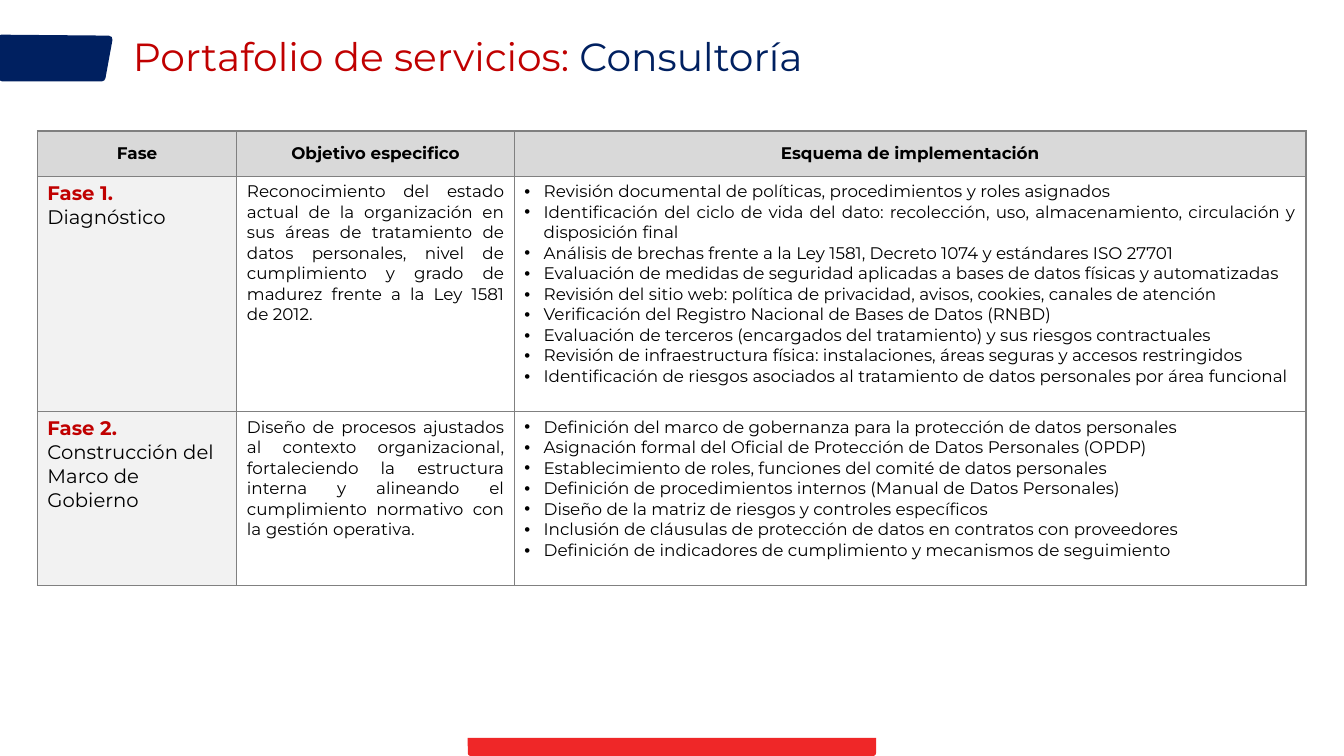
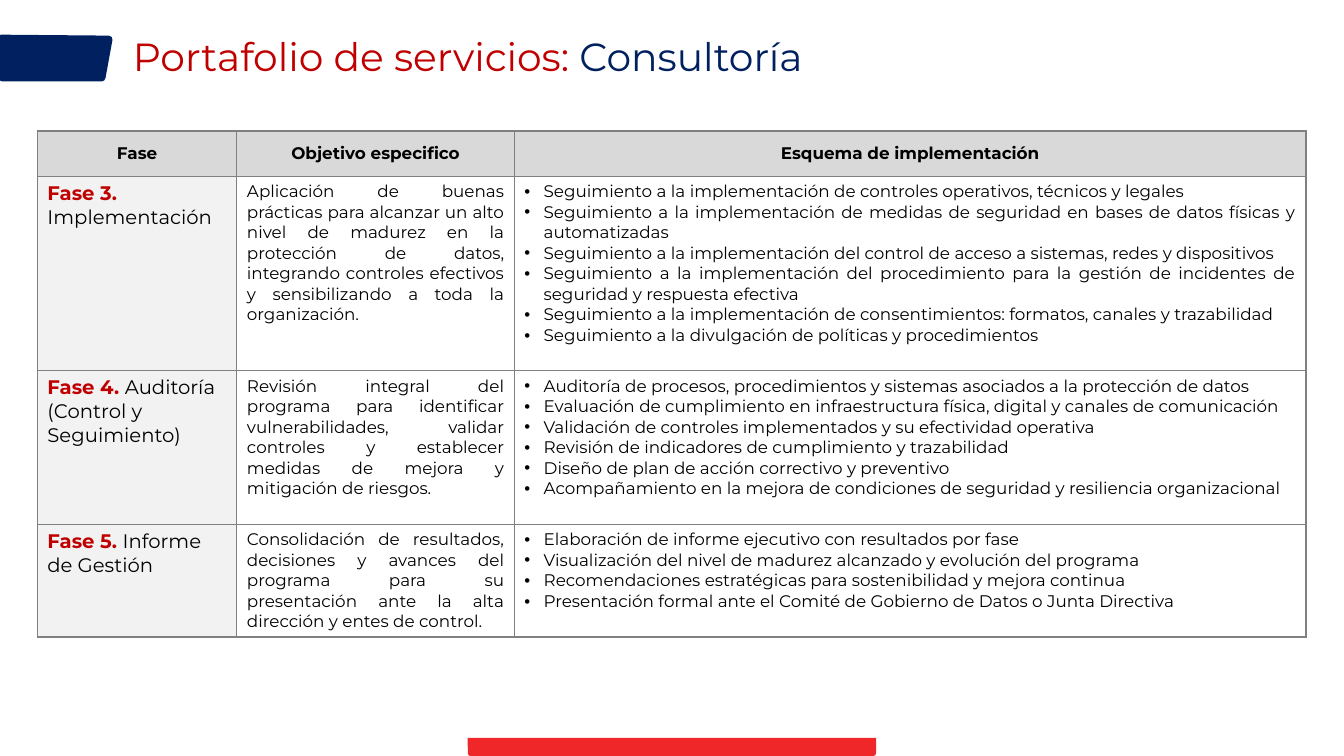
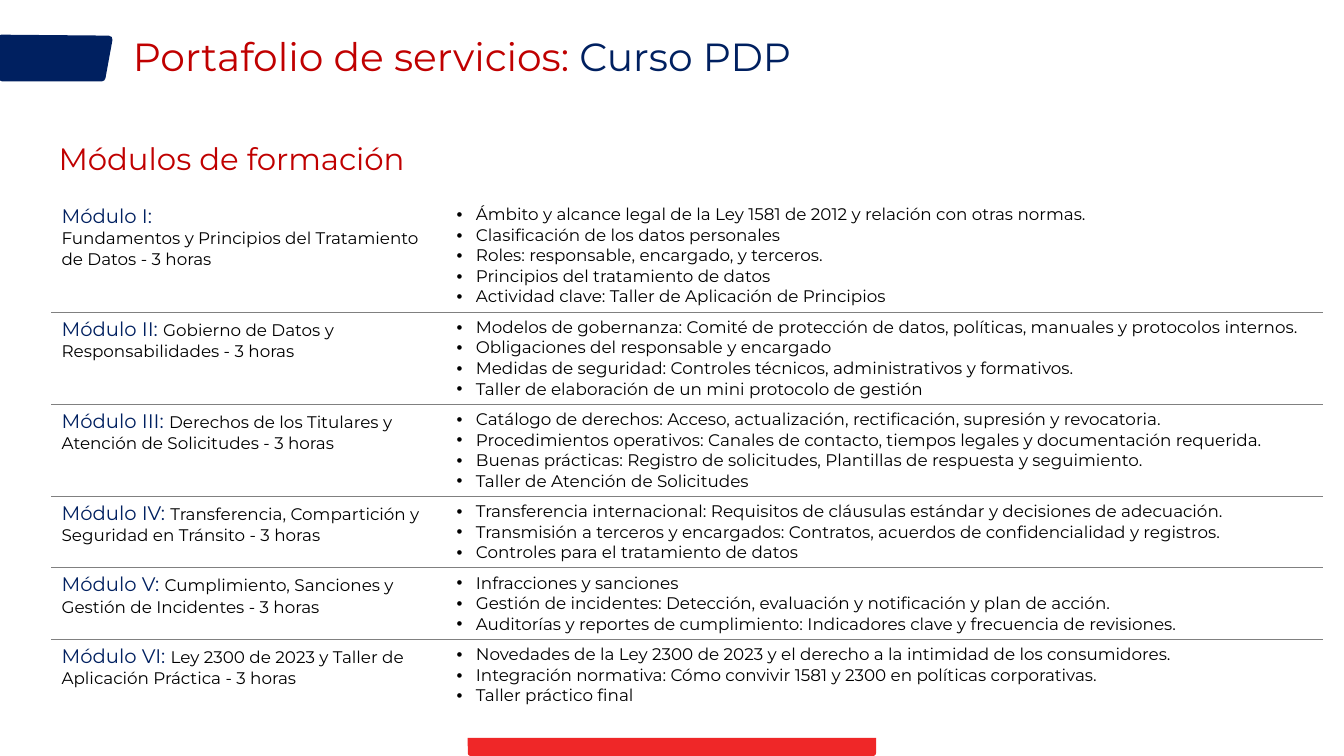
from dataclasses import dataclass
from typing import NamedTuple

from lxml import etree
from pptx import Presentation
from pptx.dml.color import RGBColor
from pptx.enum.shapes import MSO_SHAPE
from pptx.enum.text import MSO_ANCHOR, PP_ALIGN
from pptx.oxml.ns import qn
from pptx.util import Inches, Pt

LEFT, CENTER, JUSTIFY = PP_ALIGN.LEFT, PP_ALIGN.CENTER, PP_ALIGN.JUSTIFY
TOP, MIDDLE = MSO_ANCHOR.TOP, MSO_ANCHOR.MIDDLE
ROUNDED_BAR = MSO_SHAPE.ROUND_2_SAME_RECTANGLE

SLIDE_WIDTH, SLIDE_HEIGHT = Inches(13.33), Inches(7.5)
FONT = "Montserrat"
COLORS = {
    "navy": "002060",
    "red": "C00000",
    "bar": "EF2728",
    "black": "000000",
    "border": "808080",
    "header": "D9D9D9",
    "phase": "F2F2F2",
}
PLAIN_STYLE = "{2D5ABB26-0587-4C30-8999-92F81FD0307C}"
ALL_SIDES = ("L", "R", "T", "B")
BULLET_INDENT = Inches(0.19)

# Horizontal lengths are percentages of the slide width, vertical ones of its height.
BADGE = [(8.1, 5.2), (7.58, 10.27), (0.15, 10.27), (0.08, 5.07)]
PHASE_COLUMNS = (14.85, 20.65, 58.9)
MODULE_COLUMNS = (29.4, 65.18)
HEADER_ROW = 6
TEXT_LINE = 2.71
CELL_PADDING = 1.34


class Area(NamedTuple):
    left: float
    top: float
    width: float
    height: float

    def lengths(self) -> tuple[int, int, int, int]:
        return (across(self.left), down(self.top),
                across(self.width), down(self.height))


TITLE_AREA = Area(9.15, 3.33, 76, 8.8)
SUBTITLE_AREA = Area(3.83, 17.6, 43, 6.27)
BAR_AREA = Area(34.8, 97.6, 30.38, 2.4)


class Span(NamedTuple):
    text: str
    color: str = "black"
    size: float = 12
    bold: bool = False


@dataclass
class Para:
    spans: list[Span]
    align: PP_ALIGN = LEFT
    bullet: bool = False
    spacing: float = 1.0


@dataclass
class Cell:
    paras: list[Para]
    fill: str | None = None
    anchor: MSO_ANCHOR = TOP
    borders: tuple[str, ...] = ALL_SIDES


@dataclass
class Phase:
    label: str
    name: str
    goal: str
    lines: int
    steps: list[str]


@dataclass
class Module:
    label: str
    name: str
    topics: list[str]
    label_alone: bool = False


def across(share: float) -> int:
    return round(SLIDE_WIDTH * share / 100)


def down(share: float) -> int:
    return round(SLIDE_HEIGHT * share / 100)


def row_height(lines: int) -> float:
    return lines * TEXT_LINE + CELL_PADDING


def rgb(name: str) -> RGBColor:
    return RGBColor.from_string(COLORS[name])


def add_bullet(para) -> None:
    properties = para._p.get_or_add_pPr()
    properties.set("marL", str(BULLET_INDENT))
    properties.set("indent", str(-BULLET_INDENT))
    etree.SubElement(properties, qn("a:buFont"), typeface="Arial")
    etree.SubElement(properties, qn("a:buChar"), char="•")


def write(frame, paras: list[Para]) -> None:
    for index, content in enumerate(paras):
        para = frame.add_paragraph() if index else frame.paragraphs[0]
        para.alignment = content.align
        para.line_spacing = content.spacing
        if content.bullet:
            add_bullet(para)
        for span in content.spans:
            run = para.add_run()
            run.text = span.text
            formats = {"name": FONT, "size": Pt(span.size), "bold": span.bold}
            for attribute, value in formats.items():
                setattr(run.font, attribute, value)
            run.font.color.rgb = rgb(span.color)


def add_text(page, area: Area, para: Para, anchor: MSO_ANCHOR = TOP,
             margin: float | None = None) -> None:
    frame = page.shapes.add_textbox(*area.lengths()).text_frame
    frame.word_wrap = True
    frame.vertical_anchor = anchor
    if margin is not None:
        for side in ("left", "right", "top", "bottom"):
            setattr(frame, f"margin_{side}", Inches(margin))
    write(frame, [para])


def add_badge(page) -> None:
    points = [(across(x), down(y)) for x, y in BADGE]
    builder = page.shapes.build_freeform(*points[0])
    builder.add_line_segments(points[1:])
    badge = builder.convert_to_shape()
    badge.shadow.inherit = False
    badge.fill.solid()
    badge.fill.fore_color.rgb = rgb("navy")
    badge.line.color.rgb = rgb("navy")
    badge.line.width = Pt(5.25)
    etree.SubElement(badge.line._get_or_add_ln(), qn("a:round"))


def add_page(deck, subject: str):
    """Add a slide with the shared badge, bottom bar and two-colour title."""
    page = deck.slides.add_slide(deck.slide_layouts[6])
    add_badge(page)
    bar = page.shapes.add_shape(ROUNDED_BAR, *BAR_AREA.lengths())
    bar.rotation = 180
    bar.shadow.inherit = False
    bar.fill.solid()
    bar.fill.fore_color.rgb = rgb("bar")
    bar.line.fill.background()
    title = [Span("Portafolio de servicios: ", "red", 28), Span(subject, "navy", 28)]
    add_text(page, TITLE_AREA, Para(title, spacing=0.9), MIDDLE)
    return page


def draw_borders(cell, sides: tuple[str, ...]) -> None:
    properties = cell._tc.get_or_add_tcPr()
    for side in sides:
        line = etree.SubElement(properties, qn(f"a:ln{side}"), w=str(Pt(1)))
        fill = etree.SubElement(line, qn("a:solidFill"))
        etree.SubElement(fill, qn("a:srgbClr"), val=COLORS["border"])


def add_grid(page, left: float, top: float, columns: tuple[float, ...],
             heights: list[float], rows: list[list[Cell]]) -> None:
    area = Area(left, top, sum(columns), sum(heights))
    table = page.shapes.add_table(len(rows), len(columns), *area.lengths()).table
    table.first_row = table.horz_banding = False
    table._tbl.tblPr.find(qn("a:tableStyleId")).text = PLAIN_STYLE
    for column, width in zip(table.columns, columns):
        column.width = across(width)
    for row, height, contents in zip(table.rows, heights, rows):
        row.height = down(height)
        for cell, content in zip(row.cells, contents):
            draw_borders(cell, content.borders)
            cell.vertical_anchor = content.anchor
            if content.fill:
                cell.fill.solid()
                cell.fill.fore_color.rgb = rgb(content.fill)
            else:
                cell.fill.background()
            write(cell.text_frame, content.paras)


def bullets(texts: list[str], align: PP_ALIGN = LEFT) -> list[Para]:
    return [Para([Span(text)], align, bullet=True) for text in texts]


def phase_cells(phase: Phase) -> list[Cell]:
    name = [Span(f"{phase.label} ", "red", 14, True), Span(phase.name, size=14)]
    return [
        Cell([Para(name)], "phase"),
        Cell([Para([Span(phase.goal)], JUSTIFY)]),
        Cell(bullets(phase.steps, JUSTIFY)),
    ]


def add_phase_page(deck, phases: list[Phase]) -> None:
    page = add_page(deck, "Consultoría")
    headings = ("Fase", "Objetivo especifico", "Esquema de implementación")
    header = [Cell([Para([Span(text, bold=True)], CENTER)], "header", MIDDLE)
              for text in headings]
    heights = [HEADER_ROW] + [row_height(phase.lines) for phase in phases]
    rows = [header] + [phase_cells(phase) for phase in phases]
    add_grid(page, 2.78, 17.33, PHASE_COLUMNS, heights, rows)


def module_cells(module: Module, borders: tuple[str, ...]) -> list[Cell]:
    name = Span(module.name)
    if module.label_alone:
        paras = [Para([Span(module.label, "navy", 14)]), Para([name])]
    else:
        paras = [Para([Span(f"{module.label} ", "navy", 14), name])]
    return [Cell(paras, borders=borders), Cell(bullets(module.topics), borders=borders)]


def add_module_page(deck, modules: list[Module]) -> None:
    page = add_page(deck, "Curso PDP")
    add_text(page, SUBTITLE_AREA, Para([Span("Módulos de formación", "red", 22)]),
             margin=0.07)
    heights = [row_height(len(module.topics)) for module in modules]
    last = len(modules) - 1
    rows = []
    for index, module in enumerate(modules):
        borders = ("T",) * (index > 0) + ("B",) * (index < last)
        rows.append(module_cells(module, borders))
    add_grid(page, 3.83, 26.4, MODULE_COLUMNS, heights, rows)


PHASE_PAGES = [
    [
        Phase("Fase 1.", "Diagnóstico",
              "Reconocimiento del estado actual de la organización en sus áreas de "
              "tratamiento de datos personales, nivel de cumplimiento y grado de madurez "
              "frente a la Ley 1581 de 2012.", 11, [
                  "Revisión documental de políticas, procedimientos y roles asignados",
                  "Identificación del ciclo de vida del dato: recolección, uso, "
                  "almacenamiento, circulación y disposición final",
                  "Análisis de brechas frente a la Ley 1581, Decreto 1074 y estándares ISO 27701",
                  "Evaluación de medidas de seguridad aplicadas a bases de datos físicas y "
                  "automatizadas",
                  "Revisión del sitio web: política de privacidad, avisos, cookies, canales "
                  "de atención",
                  "Verificación del Registro Nacional de Bases de Datos (RNBD)",
                  "Evaluación de terceros (encargados del tratamiento) y sus riesgos "
                  "contractuales",
                  "Revisión de infraestructura física: instalaciones, áreas seguras y "
                  "accesos restringidos",
                  "Identificación de riesgos asociados al tratamiento de datos personales "
                  "por área funcional",
              ]),
        Phase("Fase 2.", "Construcción del Marco de Gobierno",
              "Diseño de procesos ajustados al contexto organizacional, fortaleciendo la "
              "estructura interna y alineando el cumplimiento normativo con la gestión "
              "operativa.", 8, [
                  "Definición del marco de gobernanza para la protección de datos personales",
                  "Asignación formal del Oficial de Protección de Datos Personales (OPDP)",
                  "Establecimiento de roles, funciones del comité de datos personales",
                  "Definición de procedimientos internos (Manual de Datos Personales)",
                  "Diseño de la matriz de riesgos y controles específicos",
                  "Inclusión de cláusulas de protección de datos en contratos con proveedores",
                  "Definición de indicadores de cumplimiento y mecanismos de seguimiento",
              ]),
    ],
    [
        Phase("Fase 3.", "Implementación",
              "Aplicación de buenas prácticas para alcanzar un alto nivel de madurez en la "
              "protección de datos, integrando controles efectivos y sensibilizando a toda "
              "la organización.", 9, [
                  "Seguimiento a la implementación de controles operativos, técnicos y legales",
                  "Seguimiento a la implementación de medidas de seguridad en bases de datos "
                  "físicas y automatizadas",
                  "Seguimiento a la implementación del control de acceso a sistemas, redes y "
                  "dispositivos",
                  "Seguimiento a la implementación del procedimiento para la gestión de "
                  "incidentes de seguridad y respuesta efectiva",
                  "Seguimiento a la implementación de consentimientos: formatos, canales y "
                  "trazabilidad",
                  "Seguimiento a la divulgación de políticas y procedimientos",
              ]),
        Phase("Fase 4.", "Auditoría (Control y Seguimiento)",
              "Revisión integral del programa para identificar vulnerabilidades, validar "
              "controles y establecer medidas de mejora y mitigación de riesgos.", 7, [
                  "Auditoría de procesos, procedimientos y sistemas asociados a la "
                  "protección de datos",
                  "Evaluación de cumplimiento en infraestructura física, digital y canales "
                  "de comunicación",
                  "Validación de controles implementados y su efectividad operativa",
                  "Revisión de indicadores de cumplimiento y trazabilidad",
                  "Diseño de plan de acción correctivo y preventivo",
                  "Acompañamiento en la mejora de condiciones de seguridad y resiliencia "
                  "organizacional",
              ]),
        Phase("Fase 5.", "Informe de Gestión",
              "Consolidación de resultados, decisiones y avances del programa para su "
              "presentación ante la alta dirección y entes de control.", 5, [
                  "Elaboración de informe ejecutivo con resultados por fase",
                  "Visualización del nivel de madurez alcanzado y evolución del programa",
                  "Recomendaciones estratégicas para sostenibilidad y mejora continua",
                  "Presentación formal ante el Comité de Gobierno de Datos o Junta Directiva",
              ]),
    ],
]

MODULES = [
    Module("Módulo I:", "Fundamentos y Principios del Tratamiento de Datos - 3 horas", [
        "Ámbito y alcance legal de la Ley 1581 de 2012 y relación con otras normas.",
        "Clasificación de los datos personales",
        "Roles: responsable, encargado, y terceros.",
        "Principios del tratamiento de datos",
        "Actividad clave: Taller de Aplicación de Principios",
    ], label_alone=True),
    Module("Módulo II:", "Gobierno de Datos y Responsabilidades - 3 horas", [
        "Modelos de gobernanza: Comité de protección de datos, políticas, manuales y "
        "protocolos internos.",
        "Obligaciones del responsable y encargado",
        "Medidas de seguridad: Controles técnicos, administrativos y formativos.",
        "Taller de elaboración de un mini protocolo de gestión",
    ]),
    Module("Módulo III:", "Derechos de los Titulares y Atención de Solicitudes - 3 horas", [
        "Catálogo de derechos: Acceso, actualización, rectificación, supresión y revocatoria.",
        "Procedimientos operativos: Canales de contacto, tiempos legales y documentación "
        "requerida.",
        "Buenas prácticas: Registro de solicitudes, Plantillas de respuesta y seguimiento.",
        "Taller de Atención de Solicitudes",
    ]),
    Module("Módulo IV:", "Transferencia, Compartición y Seguridad en Tránsito - 3 horas", [
        "Transferencia internacional: Requisitos de cláusulas estándar y decisiones de "
        "adecuación.",
        "Transmisión a terceros y encargados: Contratos, acuerdos de confidencialidad y "
        "registros.",
        "Controles para el tratamiento de datos",
    ]),
    Module("Módulo V:", "Cumplimiento, Sanciones y Gestión de Incidentes - 3 horas", [
        "Infracciones y sanciones",
        "Gestión de incidentes: Detección, evaluación y notificación y plan de acción.",
        "Auditorías y reportes de cumplimiento: Indicadores clave y frecuencia de revisiones.",
    ]),
    Module("Módulo VI:", "Ley 2300 de 2023 y Taller de Aplicación Práctica - 3 horas", [
        "Novedades de la Ley 2300 de 2023 y el derecho a la intimidad de los consumidores.",
        "Integración normativa: Cómo convivir 1581 y 2300 en políticas corporativas.",
        "Taller práctico final",
    ]),
]


def main() -> None:
    deck = Presentation()
    deck.slide_width, deck.slide_height = SLIDE_WIDTH, SLIDE_HEIGHT
    for phases in PHASE_PAGES:
        add_phase_page(deck, phases)
    add_module_page(deck, MODULES)
    deck.save("out.pptx")


if __name__ == "__main__":
    main()
